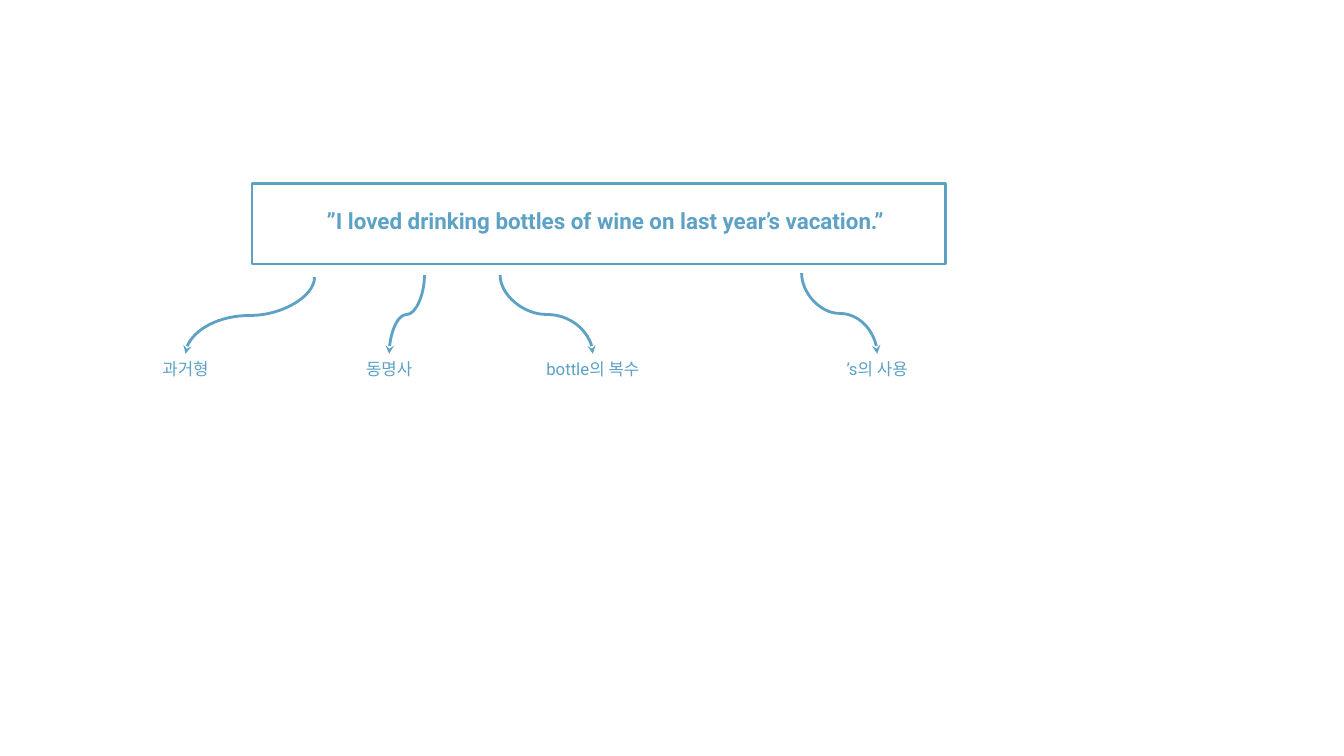
from lxml.etree import SubElement
from pptx import Presentation
from pptx.dml.color import RGBColor
from pptx.enum.shapes import MSO_CONNECTOR, MSO_SHAPE
from pptx.enum.text import MSO_AUTO_SIZE, PP_ALIGN
from pptx.oxml.ns import qn
from pptx.util import Inches, Pt

BLUE = "5DA2C5"
FONT = "Roboto"
ARROW_END = 3.51
LABEL_WIDTH = 1.35

# Label, its center x, and the start of the arrow that leads to it
NOTES = [
    ("과거형", 1.84, (3.12, 2.75)),
    ("동명사", 3.86, (4.21, 2.73)),
    ("bottle의 복수", 5.88, (4.96, 2.73)),
    ("’s의 사용", 8.7, (7.95, 2.71)),
]


def color(value):
    return RGBColor.from_string(value)


def set_line(sp):
    sp.line.color.rgb = color(BLUE)
    sp.line.width = Pt(2)


def add_frame(s, left, top, width, height):
    sp = s.shapes.add_shape(MSO_SHAPE.RECTANGLE, Inches(left), Inches(top),
                            Inches(width), Inches(height))
    sp.shadow.inherit = False
    sp.fill.background()
    set_line(sp)


def add_text(s, text, left, top, width, height, **format_values):
    sp = s.shapes.add_textbox(Inches(left), Inches(top), Inches(width), Inches(height))
    tf = sp.text_frame
    tf.word_wrap = True
    tf.auto_size = MSO_AUTO_SIZE.SHAPE_TO_FIT_TEXT
    p = tf.paragraphs[0]
    p.alignment = PP_ALIGN.CENTER
    r = p.add_run()
    r.text = text
    r.font.color.rgb = color(BLUE)
    for name, value in {"name": FONT, **format_values}.items():
        setattr(r.font, name, value)


def add_curved_arrow(s, x1, y1, x2, y2):
    """Draw an S-curve that leaves and arrives vertically: a turned connector."""
    width, height = y2 - y1, abs(x2 - x1)
    left, right = (x1 + x2 - width) / 2, (x1 + x2 + width) / 2
    top = (y1 + y2 - height) / 2
    turn = 90
    if x2 > x1:
        left, right, turn = right, left, 270
    sp = s.shapes.add_connector(MSO_CONNECTOR.CURVE, Inches(left), Inches(top),
                                Inches(right), Inches(top + height))
    set_line(sp)
    props = sp._element.spPr
    props.find(qn("a:xfrm")).set("rot", str(turn * 60000))
    SubElement(props.find(qn("a:ln")), qn("a:tailEnd"), type="stealth")
    SubElement(props, qn("a:effectLst"))


def main():
    prs = Presentation()
    prs.slide_width, prs.slide_height = Inches(13.33), Inches(7.5)
    s = prs.slides.add_slide(prs.slide_layouts[6])

    # Framed sentence
    add_frame(s, 2.5, 1.82, 6.88, 0.8)
    add_text(s, "”I loved drinking bottles of wine on last year’s vacation.”",
             2.52, 2.01, 6.97, 0.37, size=Pt(16), bold=True)

    # Grammar notes with arrows from the sentence
    for label, center, start in NOTES:
        add_curved_arrow(s, *start, center, ARROW_END)
        add_text(s, label, center - LABEL_WIDTH / 2, ARROW_END, LABEL_WIDTH, 0.3,
                 size=Pt(12))

    prs.save("out.pptx")


if __name__ == "__main__":
    main()
